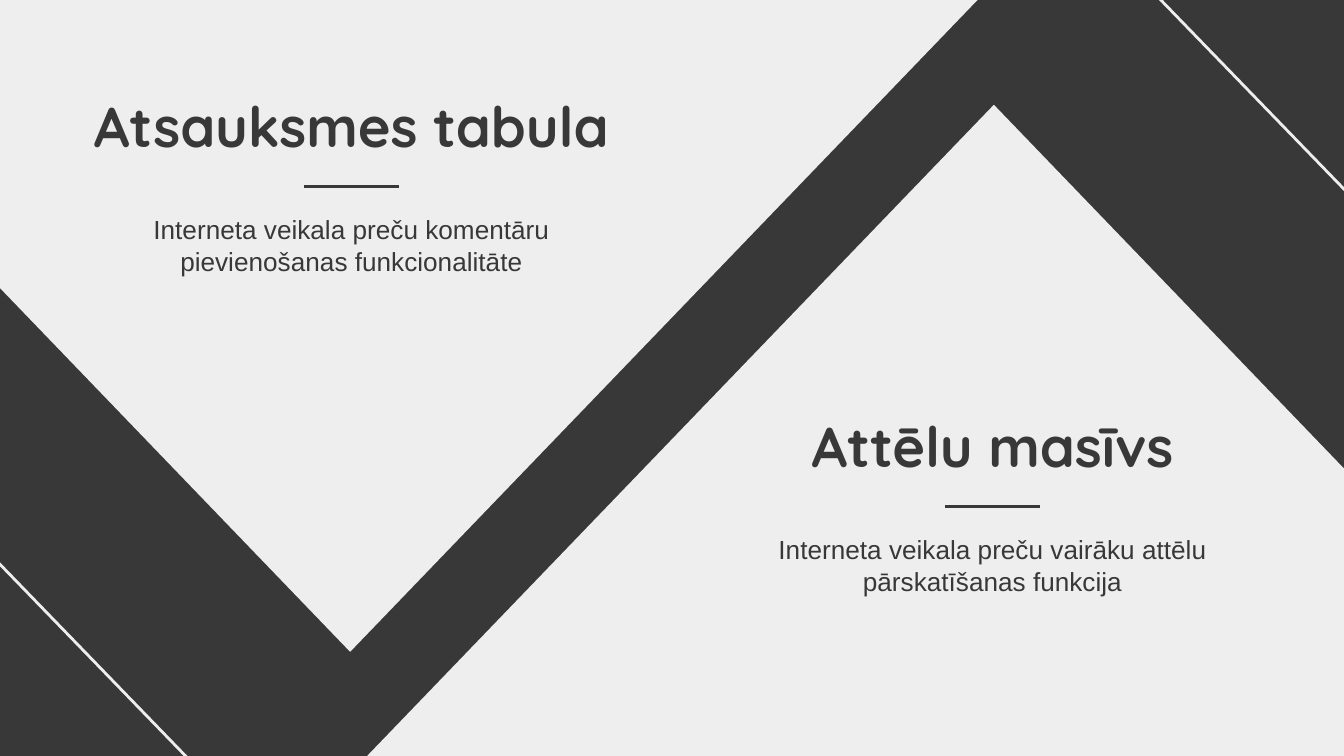
"""Build a slide with two headed notes on a zigzag of triangles."""
from pptx import Presentation
from pptx.dml.color import RGBColor
from pptx.enum.shapes import MSO_CONNECTOR as Link, MSO_SHAPE as Kind
from pptx.enum.text import MSO_ANCHOR as Anchor, PP_ALIGN as Align
from pptx.oxml.ns import qn
from pptx.util import Inches, Pt
from lxml import etree

DARK, LIGHT = "383838", "EEEEEE"
PEAKS = [(2.65, 0.78, 0), (-2.14, -0.08, 180)]
STRIPES = [(-1.5, 2.65), (8.57, -0.07)]
NOTES = [
    ("Atsauksmes tabula", 2.615, 0.58, 4.29,
     "Interneta veikala preču komentāru pievienošanas funkcionalitāte"),
    ("Attēlu masīvs", 7.385, 2.96, 3.39,
     "Interneta veikala preču vairāku attēlu pārskatīšanas funkcija"),
]


def color(code):
    return RGBColor.from_string(code)


def line(x1, y1, x2, y2, code):
    link = slide.shapes.add_connector(
        Link.STRAIGHT, Inches(x1), Inches(y1), Inches(x2), Inches(y2))
    link.line.color.rgb = color(code)
    link.line.width = Pt(1.5)
    etree.SubElement(link._element.spPr, qn("a:effectLst"))


def write(box, mid, top, wide, high, text, font, size, bold):
    box.left, box.top = Inches(mid - wide / 2), Inches(top)
    box.width, box.height = Inches(wide), Inches(high)
    frame = box.text_frame
    frame.text = text
    frame.word_wrap = True
    frame.vertical_anchor = Anchor.TOP
    frame.margin_left = frame.margin_right = Inches(0.1)
    frame.margin_top = frame.margin_bottom = Inches(0.1)
    para = frame.paragraphs[0]
    para.alignment = Align.CENTER
    para.font.name, para.font.size, para.font.bold = font, Pt(size), bold
    para.font.color.rgb = color(DARK)


def textbox():
    return slide.shapes.add_textbox(0, 0, 0, 0)


deck = Presentation()
deck.slide_width, deck.slide_height = Inches(10), Inches(5.625)
slide = deck.slides.add_slide(deck.slide_layouts[5])
slide.background.fill.solid()
slide.background.fill.fore_color.rgb = color(DARK)

for x, y, turn in PEAKS:
    peak = slide.shapes.add_shape(
        Kind.ISOSCELES_TRIANGLE, Inches(x), Inches(y), Inches(9.49), Inches(4.93))
    peak.rotation = turn
    peak.shadow.inherit = False
    peak.fill.solid()
    peak.fill.fore_color.rgb = color(LIGHT)
    peak.line.fill.background()

for x, y in STRIPES:
    line(x, y, x + 3.37, y + 3.48, LIGHT)

title = slide.shapes.title
slide.shapes._spTree.append(title._element)
for index, (head, mid, top, wide, body) in enumerate(NOTES):
    box = textbox() if index else title
    write(box, mid, top, wide, 0.58, head, "Quicksand", 30, True)
    line(mid - 0.355, top + 0.81, mid + 0.355, top + 0.81, DARK)
    write(textbox(), mid, top + 0.91, 3.39, 1.08, body, "Arial", 14, False)

deck.save("out.pptx")
